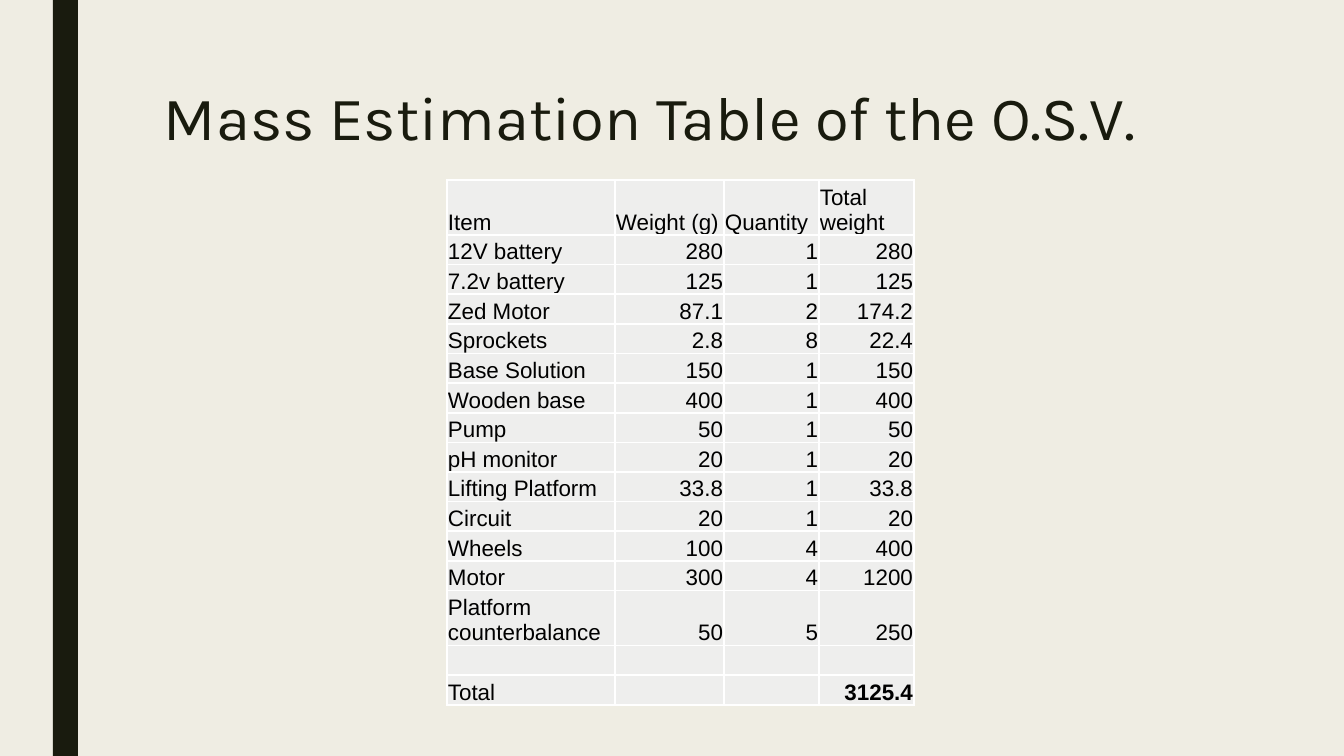
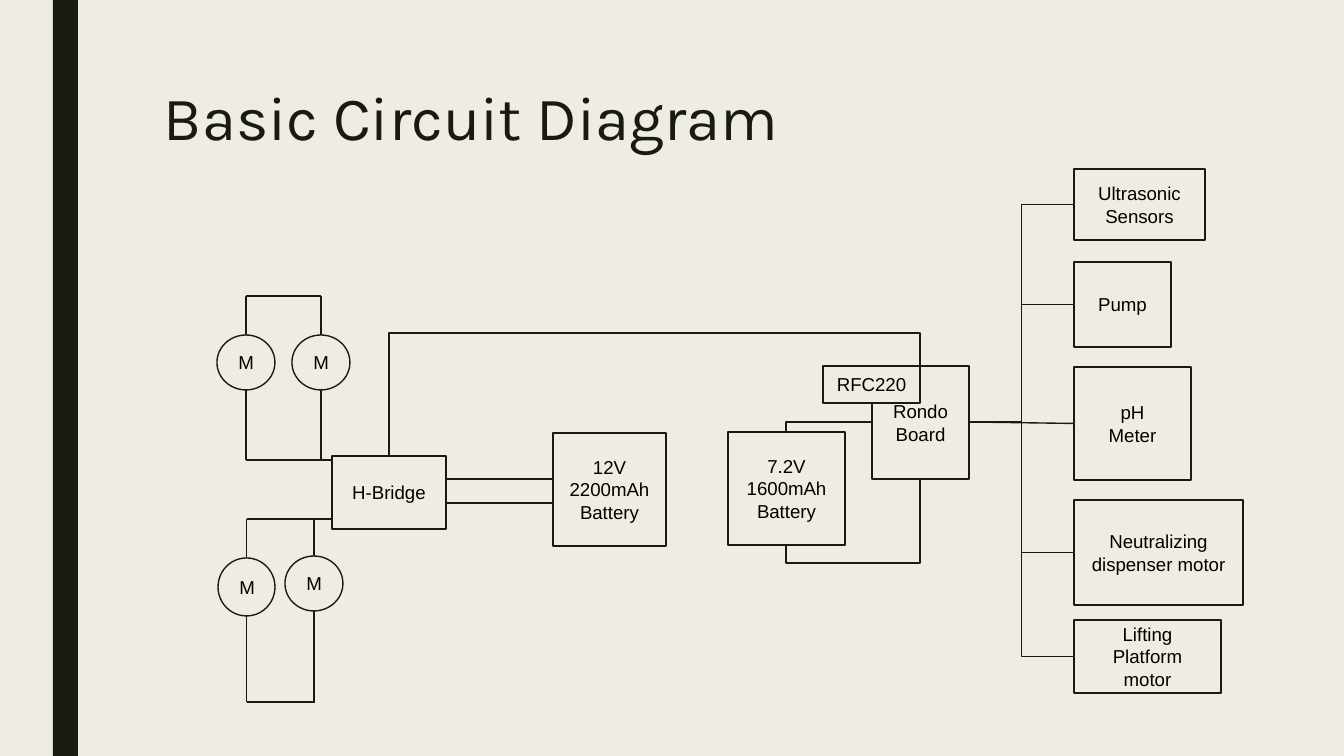
from lxml import etree
from pptx import Presentation
from pptx.dml.color import RGBColor
from pptx.enum.shapes import MSO_CONNECTOR as Connector, MSO_SHAPE as Shape
from pptx.enum.text import MSO_ANCHOR as Anchor, PP_ALIGN as Align
from pptx.oxml import parse_xml
from pptx.oxml.ns import nsdecls, qn
from pptx.util import Emu, Pt

SCALE = 914400 / 134.4  # EMU in one px
COLORS = {"paper": "EFEDE3", "ink": "191B0E", "cell": "EEEEED",
          "border": "FFFFFF", "text": "000000"}
TITLE_FONT, BODY_FONT = "Karla", "Arial"
TITLE_BOX = (151, 75, 1059, 164)

MASS_ROWS = [
    ("Item", "Weight (g)", "Quantity", "Total weight"),
    ("12V battery", "280", "1", "280"),
    ("7.2v battery", "125", "1", "125"),
    ("Zed Motor", "87.1", "2", "174.2"),
    ("Sprockets", "2.8", "8", "22.4"),
    ("Base Solution", "150", "1", "150"),
    ("Wooden base", "400", "1", "400"),
    ("Pump", "50", "1", "50"),
    ("pH monitor", "20", "1", "20"),
    ("Lifting Platform", "33.8", "1", "33.8"),
    ("Circuit", "20", "1", "20"),
    ("Wheels", "100", "4", "400"),
    ("Motor", "300", "4", "1200"),
    ("Platform counterbalance", "50", "5", "250"),
    ("", "", "", ""),
    ("Total", "", "", "3125.4"),
]
COLUMN_WIDTHS = (168, 109, 95, 95)
TALL_ROWS, TALL_HEIGHT = (0, 13), 55

# Peripherals: label, top within the stack, width, height
PERIPHERALS = [
    ("Ultrasonic\vSensors", 0, 131, 71),
    ("Pump", 93, 97, 85),
    ("pH\nMeter", 198, 117, 113),
    ("Neutralizing dispenser motor", 331, 169, 105),
    ("Lifting Platform motor", 451, 147, 73),
]


def px(value):
    return Emu(round(value * SCALE))


def rgb(name):
    return RGBColor.from_string(COLORS[name])


def style_font(font, name, size, color):
    font.name, font.size = name, Pt(size)
    font.color.rgb = rgb(color)


# Shared frame: background, side bar and title
def add_base_slide(presentation, title):
    slide = presentation.slides.add_slide(presentation.slide_layouts[6])
    slide.background.fill.solid()
    slide.background.fill.fore_color.rgb = rgb("paper")
    bar = slide.shapes.add_shape(Shape.RECTANGLE, px(53), 0, px(25), px(756))
    bar.shadow.inherit = False
    bar.fill.solid()
    bar.fill.fore_color.rgb = rgb("ink")
    bar.line.fill.background()
    frame = slide.shapes.add_textbox(*map(px, TITLE_BOX)).text_frame
    set_insets(frame)
    paragraph = frame.paragraphs[0]
    paragraph.text = title
    paragraph.line_spacing = 0.89
    style_font(paragraph.font, TITLE_FONT, 33, "ink")
    return slide


def set_insets(frame):
    frame.word_wrap = True
    frame.margin_left = frame.margin_right = px(13)
    frame.margin_top = frame.margin_bottom = px(13)


# Mass table
def style_cell(cell, text, align, bold):
    cell.fill.solid()
    cell.fill.fore_color.rgb = rgb("cell")
    cell.vertical_anchor = Anchor.BOTTOM
    cell.margin_left = cell.margin_right = cell.margin_top = px(1)
    cell.margin_bottom = 0
    paragraph = cell.text_frame.paragraphs[0]
    paragraph.text = text
    paragraph.alignment = align
    style_font(paragraph.font, BODY_FONT, 12, "text")
    paragraph.font.bold = bold
    if not text:
        etree.SubElement(paragraph._p, qn("a:endParaRPr"), sz="1200")
    properties = cell._tc.get_or_add_tcPr()
    for index, side in enumerate(("lnL", "lnR", "lnT", "lnB")):
        properties.insert(index, parse_xml(
            f'<a:{side} {nsdecls("a")} w="12700"><a:solidFill>'
            f'<a:srgbClr val="{COLORS["border"]}"/></a:solidFill></a:{side}>'))


def add_mass_table(slide, box):
    height = box[3]
    table = slide.shapes.add_table(
        len(MASS_ROWS), len(COLUMN_WIDTHS), *map(px, box)).table
    table.first_row = table.horz_banding = False
    for column, width in zip(table.columns, COLUMN_WIDTHS):
        column.width = px(width)
    plain_count = len(MASS_ROWS) - len(TALL_ROWS)
    plain_height = (height - TALL_HEIGHT * len(TALL_ROWS)) / plain_count
    last = len(MASS_ROWS) - 1
    for r, values in enumerate(MASS_ROWS):
        table.rows[r].height = px(TALL_HEIGHT if r in TALL_ROWS else plain_height)
        for c, value in enumerate(values):
            align = Align.RIGHT if r and c else Align.LEFT
            style_cell(table.cell(r, c), value, align, r == last and c == 3)


# Circuit parts
def add_part(slide, label, box, kind=Shape.RECTANGLE, align=Align.CENTER):
    shape = slide.shapes.add_shape(kind, *map(px, box))
    shape.shadow.inherit = False
    shape.fill.solid()
    shape.fill.fore_color.rgb = rgb("paper")
    shape.line.color.rgb = rgb("ink")
    shape.line.width = Pt(0.75)
    frame = shape.text_frame
    set_insets(frame)
    frame.vertical_anchor = Anchor.MIDDLE
    frame.text = label
    for paragraph in frame.paragraphs:
        paragraph.alignment = align
        style_font(paragraph.font, BODY_FONT, 10, "text")


def add_wire(slide, start, end, kind=Connector.STRAIGHT):
    wire = slide.shapes.add_connector(kind, *map(px, start + end))
    wire.line.color.rgb = rgb("ink")
    wire.line.width = Pt(0.75)
    etree.SubElement(wire._element.spPr, qn("a:effectLst"))
    return wire


def add_corner(slide, start, end):
    """One bend: across first, then up or down."""
    wire = add_wire(slide, start, end, Connector.ELBOW)
    wire._element.spPr.find(qn("a:prstGeom")).set("prst", "bentConnector2")


def add_upright_elbow(slide, start, end, bend_y):
    """Two bends: up or down to bend_y, across, then to the end."""
    (x1, y1), (x2, y2) = start, end
    middle_x, middle_y = (x1 + x2) / 2, (y1 + y2) / 2
    half_x, half_y = (y2 - y1) / 2, (x1 - x2) / 2
    wire = add_wire(slide, (middle_x - half_x, middle_y - half_y),
                    (middle_x + half_x, middle_y + half_y), Connector.ELBOW)
    properties = wire._element.spPr
    properties.find(qn("a:xfrm")).set("rot", "5400000")
    bend = round((bend_y - y1) / (y2 - y1) * 100000)
    etree.SubElement(properties.find(".//" + qn("a:avLst")), qn("a:gd"),
                     name="adj1", fmla=f"val {bend}")


# Two motors on a wire loop; the feed wire runs along feed_y
def add_motor_loop(slide, box, motors, feed_y, feed_end):
    left, top, width, height = box
    right, bottom = left + width, top + height
    for x, y, motor_width, motor_height in motors:
        motor_top = top + y
        center = left + x + motor_width / 2
        add_part(slide, "M", (left + x, motor_top, motor_width, motor_height),
                 Shape.OVAL, Align.LEFT)
        add_wire(slide, (center, top), (center, motor_top))
        add_wire(slide, (center, motor_top + motor_height), (center, bottom))
    for y in (top, bottom):
        add_wire(slide, (left, y), (feed_end if y == feed_y else right, y))


# H-Bridge with its battery
def add_drive_power(slide, box):
    left, top, width, height = box
    add_part(slide, "12V 2200mAh Battery", (left + width - 113, top, 113, height))
    add_part(slide, "H-Bridge", (left, top + 23, 114, 73))
    for y in (top + 46, top + 70):
        add_wire(slide, (left + width - 113, y), (left + 114, y))


# Control board, radio module and battery
def add_controller(slide, box):
    left, top, width, height = box
    board_left = left + width - 97
    board_middle = board_left + 48
    battery_middle = left + 58
    add_part(slide, "Rondo\nBoard", (board_left, top, 97, 113))
    add_part(slide, "RFC220", (left + 95, top, 97, 37))
    add_part(slide, "7.2V 1600mAh Battery", (left, top + 66, 117, 113))
    add_corner(slide, (board_left, top + 56), (battery_middle, top + 66))
    add_upright_elbow(slide, (battery_middle, top + 179),
                      (board_middle, top + 113), top + height)


# Peripheral stack fed from one point
def add_peripherals(slide, left, top, source):
    for label, y, width, height in PERIPHERALS:
        add_part(slide, label, (left, top + y, width, height))
        middle = top + y + height / 2
        if abs(middle - source[1]) < 5:
            add_wire(slide, source, (left, middle))
        else:
            add_wire(slide, (left, middle), source, Connector.ELBOW)


def build_mass_slide(presentation):
    slide = add_base_slide(presentation, "Mass Estimation Table of the O.S.V.")
    add_mass_table(slide, (447, 180, sum(COLUMN_WIDTHS), 525))


def build_circuit_slide(presentation):
    slide = add_base_slide(presentation, "Basic Circuit Diagram")
    add_drive_power(slide, (332, 433, 334, 113))
    add_motor_loop(slide, (246, 296, 75, 164),
                   [(-29, 39, 58, 55), (46, 39, 58, 55)], 460, 332)
    add_motor_loop(slide, (247, 519, 68, 183),
                   [(-29, 39, 57, 58), (38, 37, 58, 55)], 519, 332)
    add_controller(slide, (728, 366, 241, 197))
    add_upright_elbow(slide, (389, 456), (920, 366), 333)
    add_peripherals(slide, 1074, 169, (969, 422))


def main():
    presentation = Presentation()
    presentation.slide_width, presentation.slide_height = px(1344), px(756)
    build_mass_slide(presentation)
    build_circuit_slide(presentation)
    presentation.save("out.pptx")


if __name__ == "__main__":
    main()
